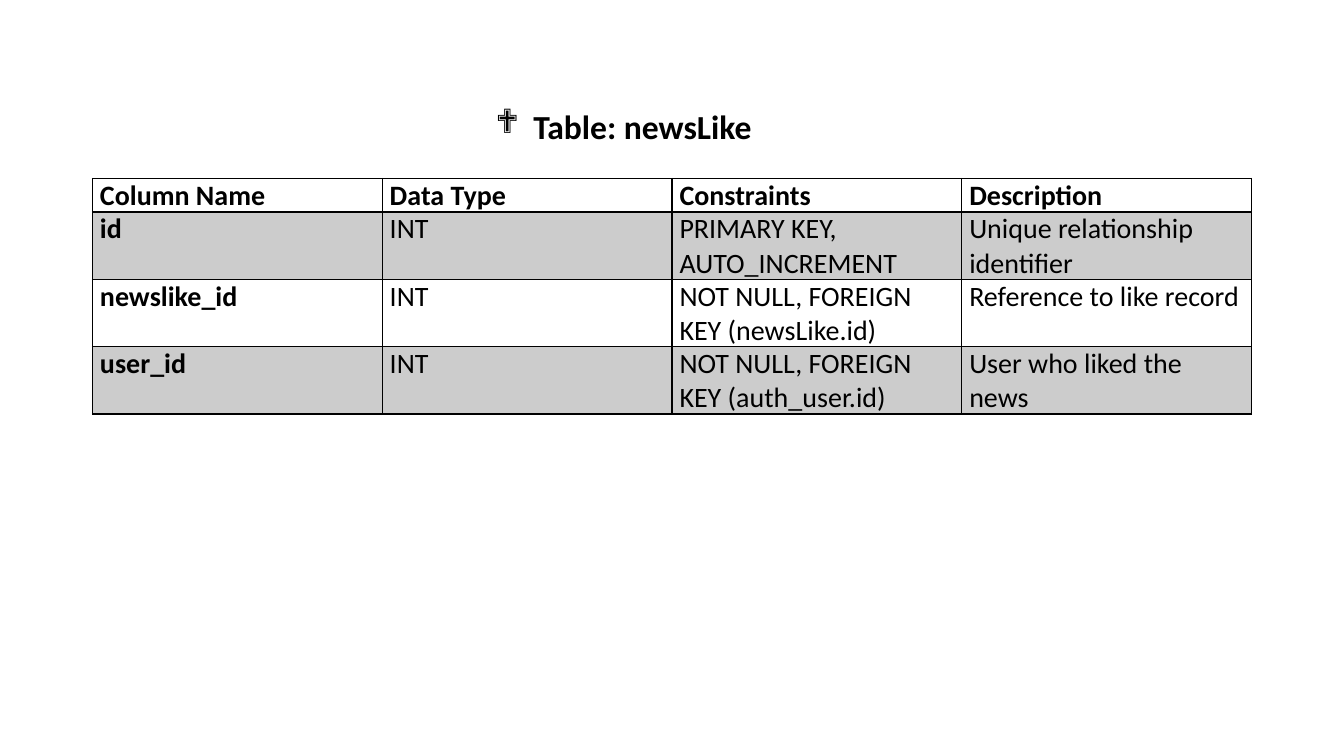
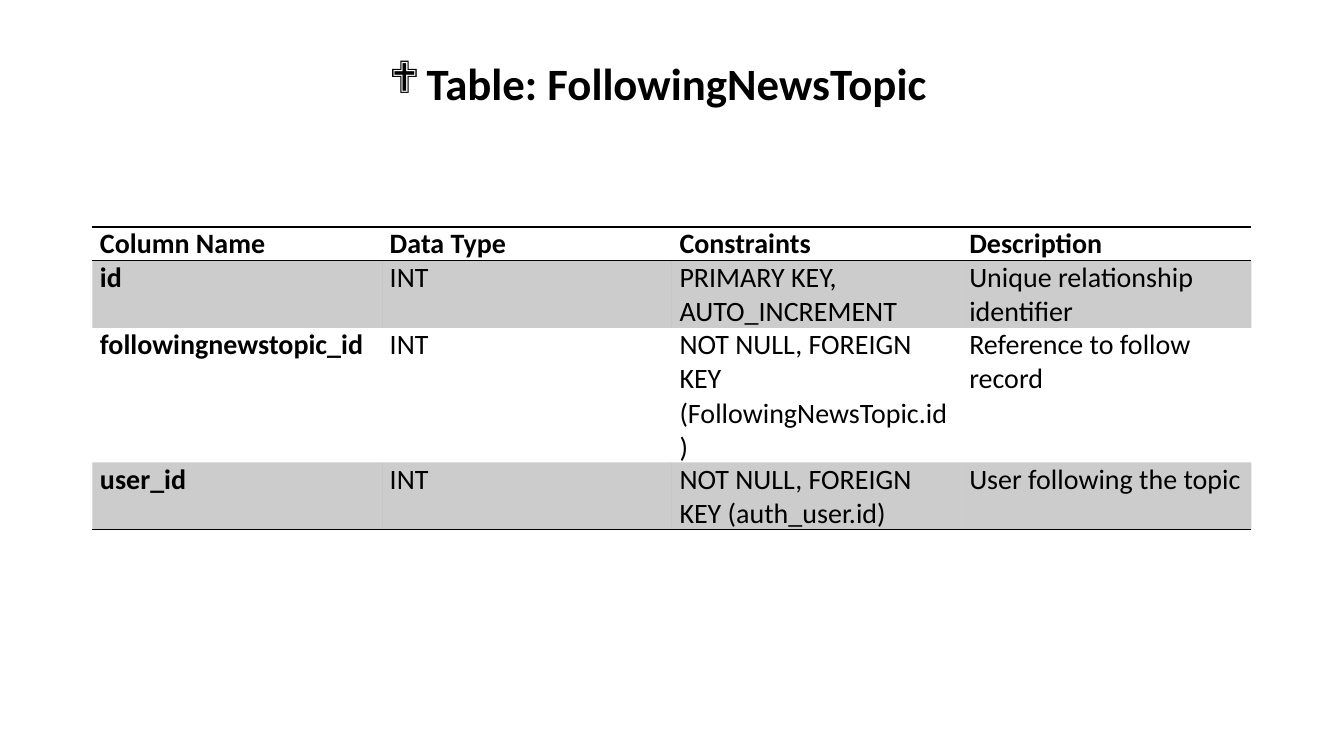
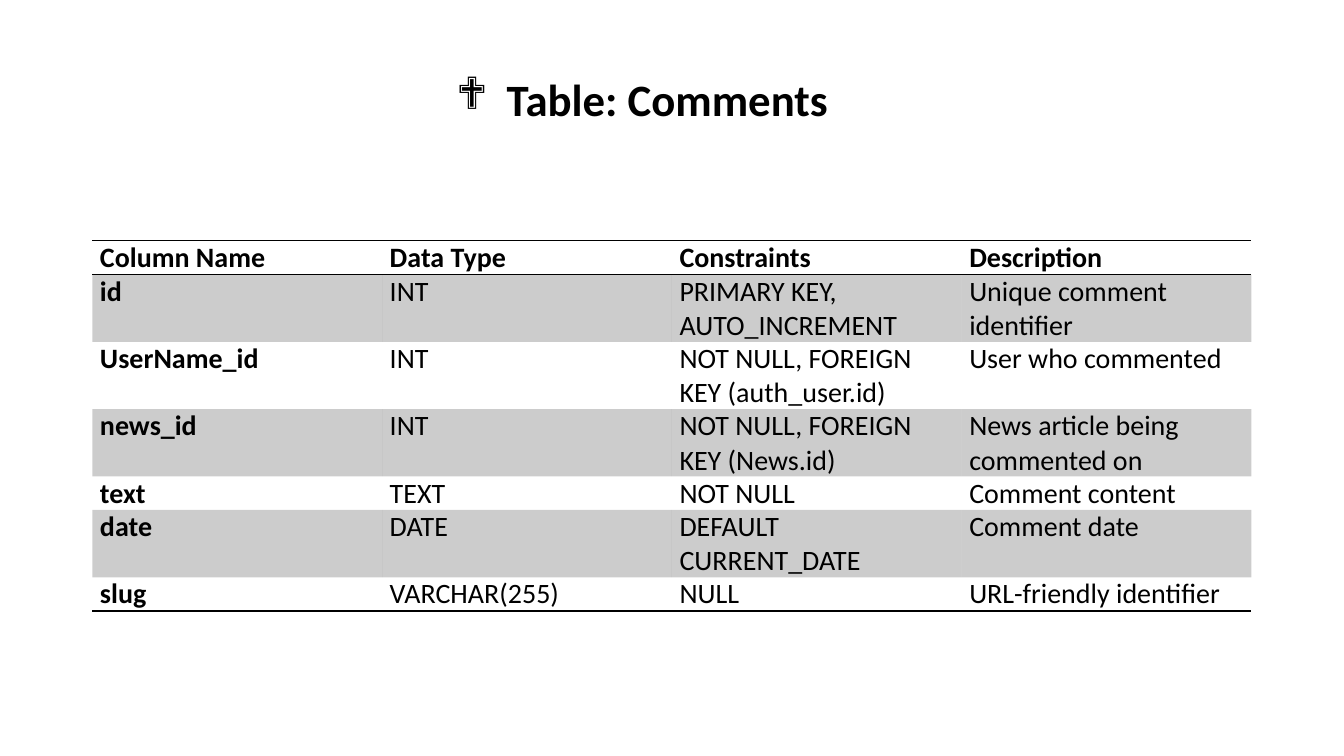
from dataclasses import dataclass

from lxml import etree
from pptx import Presentation
from pptx import util as u
from pptx.dml import color
from pptx.enum import text
from pptx.oxml import ns


@dataclass(frozen=True)
class Theme:
    font: str = "Calibri"
    bullet_font: str = "Wingdings"
    ink: str = "000000"
    band_alpha: int = 20  # percent
    cell_size: int = 20
    rule: float = 1
    heavy_rule: float = 2
    no_style: str = "{2D5ABB26-0587-4C30-8999-92F81FD0307C}"


THEME = Theme()
INK = color.RGBColor.from_string(THEME.ink)
HEADER = ("Column Name", "Data Type", "Constraints", "Description")
TABLE_LEFT, TABLE_WIDTH, LINE_HEIGHT = 2.33, 29.21, 0.84


def add_element(parent, tag, **attributes):
    return etree.SubElement(parent, ns.qn(tag), attributes)


def add_span(para, words, size, bold):
    span = para.add_run()
    span.text = words
    span.font.name = THEME.font
    span.font.size = u.Pt(size)
    span.font.bold = bold
    span.font.color.rgb = INK


def add_title(page, words, left, top, width, height, size, indent, wrap=False):
    """Bold heading with a diamond bullet."""
    box = page.shapes.add_textbox(u.Cm(left), u.Cm(top), u.Cm(width), u.Cm(height))
    frame = box.text_frame
    frame.word_wrap = wrap
    frame.auto_size = text.MSO_AUTO_SIZE.SHAPE_TO_FIT_TEXT
    para = frame.paragraphs[0]
    settings = para._p.get_or_add_pPr()
    settings.set("marL", str(u.Cm(indent)))
    settings.set("indent", str(-u.Cm(indent)))
    add_element(settings, "a:buFont", typeface=THEME.bullet_font, charset="2")
    add_element(settings, "a:buChar", char="❖")
    add_span(para, words, size, True)


def add_borders(cell, widths):
    """Draw the sides named in widths (L, R, T, B), given in points."""
    settings = cell._tc.get_or_add_tcPr()
    for side in "LRTB":
        if side in widths:
            line = add_element(settings, f"a:ln{side}", w=str(u.Pt(widths[side])))
            fill = add_element(line, "a:solidFill")
            add_element(fill, "a:srgbClr", val=THEME.ink)


def border_widths(row, last_row, grid):
    if grid:
        widths = dict.fromkeys("LRTB", THEME.rule)
        if row == 0:
            widths["B"] = THEME.heavy_rule
        elif row == 1:
            widths["T"] = THEME.heavy_rule
        return widths
    widths = {"T": THEME.rule} if row == 0 else {}
    if row in (0, last_row):
        widths["B"] = THEME.rule
    return widths


def fill_cell(cell, banded):
    if not banded:
        cell.fill.background()
        return
    cell.fill.solid()
    cell.fill.fore_color.rgb = INK
    tint = cell._tc.tcPr.find(ns.qn("a:solidFill")).find(ns.qn("a:srgbClr"))
    add_element(tint, "a:alpha", val=str(THEME.band_alpha * 1000))


def add_schema_table(page, top, records, grid=False):
    """Each record is its line count followed by its four cell texts."""
    rows = [(1, *HEADER), *records]
    height = LINE_HEIGHT * sum(row[0] for row in rows)
    frame = page.shapes.add_table(len(rows), len(HEADER), u.Cm(TABLE_LEFT),
                                  u.Cm(top), u.Cm(TABLE_WIDTH), u.Cm(height))
    table = frame.table
    table.first_row = table.horz_banding = False
    table._tbl.tblPr.find(ns.qn("a:tableStyleId")).text = THEME.no_style

    for r, (lines, *words) in enumerate(rows):
        table.rows[r].height = u.Cm(LINE_HEIGHT * lines)
        widths = border_widths(r, len(rows) - 1, grid)
        for c, word in enumerate(words):
            cell = table.cell(r, c)
            cell.margin_left = cell.margin_right = u.Cm(0.19)
            cell.margin_top = cell.margin_bottom = 0
            add_borders(cell, widths)
            fill_cell(cell, r % 2 == 1)
            add_span(cell.text_frame.paragraphs[0], word, THEME.cell_size,
                     r == 0 or c == 0)


def main():
    deck = Presentation()
    deck.slide_width, deck.slide_height = u.Cm(33.87), u.Cm(19.05)
    pages = [deck.slides.add_slide(deck.slide_layouts[6]) for _ in range(3)]
    key = "PRIMARY KEY, AUTO_INCREMENT"
    foreign = "NOT NULL, FOREIGN KEY ({}.id)".format

    # Likes
    add_title(pages[0], "Table: newsLike", 12.24, 2.54, 7.04, 1.27, 24, 0.95)
    add_schema_table(pages[0], 4.5, [
        (2, "id", "INT", key, "Unique relationship identifier"),
        (2, "newslike_id", "INT", foreign("newsLike"), "Reference to like record"),
        (2, "user_id", "INT", foreign("auth_user"), "User who liked the news"),
    ], grid=True)

    # Followed topics
    add_title(pages[1], "Table: FollowingNewsTopic", 9.55, 1.28, 14.76, 1.63, 32, 0.95,
              wrap=True)
    add_schema_table(pages[1], 5.72, [
        (2, "id", "INT", key, "Unique relationship identifier"),
        (4, "followingnewstopic_id", "INT", foreign("FollowingNewsTopic"),
         "Reference to follow record"),
        (2, "user_id", "INT", foreign("auth_user"), "User following the topic"),
    ])

    # Comments
    add_title(pages[2], "Table: Comments", 11.25, 1.68, 9.98, 1.63, 32, 1.27)
    add_schema_table(pages[2], 6.07, [
        (2, "id", "INT", key, "Unique comment identifier"),
        (2, "UserName_id", "INT", foreign("auth_user"), "User who commented"),
        (2, "news_id", "INT", foreign("News"), "News article being commented on"),
        (1, "text", "TEXT", "NOT NULL", "Comment content"),
        (2, "date", "DATE", "DEFAULT CURRENT_DATE", "Comment date"),
        (1, "slug", "VARCHAR(255)", "NULL", "URL-friendly identifier"),
    ])

    deck.save("out.pptx")


if __name__ == "__main__":
    main()
